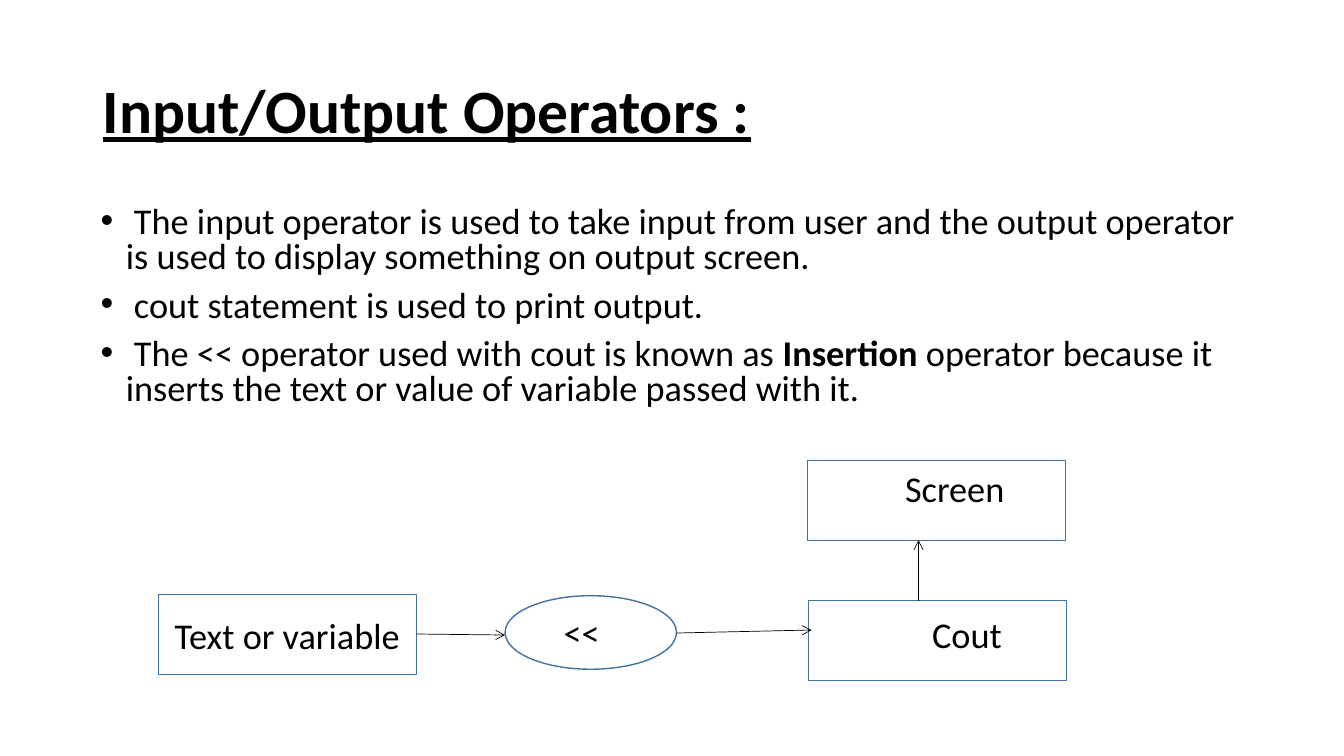
import pptx
import pptx.util
import pptx.dml.color
import pptx.enum.shapes
import pptx.enum.text
import pptx.oxml
import pptx.oxml.ns

Inches, Pt = pptx.util.Inches, pptx.util.Pt
SHAPE = pptx.enum.shapes.MSO_SHAPE
ANCHOR = pptx.enum.text.MSO_ANCHOR
ALIGN = pptx.enum.text.PP_ALIGN
BLACK = pptx.dml.color.RGBColor(0x00, 0x00, 0x00)
BLUE = pptx.dml.color.RGBColor(0x43, 0x73, 0x9E)
BODY_SIZE = 25.9


def add_run(p, text, size=BODY_SIZE, bold=False, underline=False):
    """Append a formatted run to a paragraph."""
    r = p.add_run()
    r.text = text
    r.font.name = "Calibri"
    r.font.size = Pt(size)
    r.font.bold = bold
    r.font.underline = underline
    r.font.color.rgb = BLACK


def add_xml(parent, tag, **attrs):
    """Append an empty DrawingML element with the given attributes."""
    child = pptx.oxml.parse_xml(f"<a:{tag} {pptx.oxml.ns.nsdecls('a')}/>")
    for name, value in attrs.items():
        child.set(name, value)
    parent.append(child)


def add_box(s, box):
    """Add a wrapping text box and return its text frame."""
    tf = s.shapes.add_textbox(*map(Inches, box)).text_frame
    tf.word_wrap = True
    return tf


def add_title(s, box):
    """Add the underlined heading, centred vertically in its box."""
    tf = add_box(s, box)
    tf.vertical_anchor = ANCHOR.MIDDLE
    p = tf.paragraphs[0]
    p.line_spacing = 0.9
    add_run(p, "Input/Output Operators :", size=44, bold=True, underline=True)


def add_bullets(s, box, items):
    """Add bulleted paragraphs, each a list of (text, bold) pieces."""
    tf = add_box(s, box)
    for i, pieces in enumerate(items):
        p = tf.add_paragraph() if i else tf.paragraphs[0]
        p.line_spacing = 0.8
        p.space_before = Pt(10)
        pPr = p._p.get_or_add_pPr()
        pPr.set("marL", str(Inches(0.25)))
        pPr.set("indent", str(Inches(-0.25)))
        add_xml(pPr, "buFont", typeface="Arial")
        add_xml(pPr, "buChar", char="\u2022")
        for text, bold in pieces:
            add_run(p, text, bold=bold)


def add_node(s, kind, box, text, dx=0, dy=0):
    """Add an outlined node whose label is shifted from centre by dx, dy."""
    sp = s.shapes.add_shape(kind, *map(Inches, box))
    sp.shadow.inherit = False
    sp.fill.background()
    sp.line.color.rgb = BLUE
    sp.line.width = Pt(1)
    tf = sp.text_frame
    tf.word_wrap = True
    tf.vertical_anchor = ANCHOR.MIDDLE
    tf.margin_left, tf.margin_right = Inches(max(0, 2 * dx)), Inches(max(0, -2 * dx))
    tf.margin_top, tf.margin_bottom = Inches(max(0, 2 * dy)), Inches(max(0, -2 * dy))
    p = tf.paragraphs[0]
    p.alignment = ALIGN.CENTER
    add_run(p, text)


def add_arrow(s, start, end):
    """Add a thin straight arrow from start to end."""
    line = s.shapes.add_connector(
        pptx.enum.shapes.MSO_CONNECTOR.STRAIGHT, *map(Inches, start + end))
    line.line.color.rgb = BLACK
    line.line.width = Pt(0.5)
    add_xml(line.line._get_or_add_ln(), "tailEnd", type="arrow")
    add_xml(line._element.spPr, "effectLst")


def add_flow(s, x, y):
    """Add the output flow diagram with its top left corner at x, y."""
    w, h = 2.56, 0.79
    nodes = [
        (SHAPE.RECTANGLE, (0, 1.33, w, h), "Text or variable", 0, 0),
        (SHAPE.RECTANGLE, (6.44, 0, w, h), "Screen", 0.18, -0.12),
        (SHAPE.RECTANGLE, (6.45, 1.39, w, h), "Cout", 0.29, -0.07),
        (SHAPE.OVAL, (3.44, 1.34, 1.7, 0.73), "<<", -0.09, 0),
    ]
    for kind, (left, top, width, height), text, dx, dy in nodes:
        add_node(s, kind, (x + left, y + top, width, height), text, dx, dy)
    arrows = [
        ((w, 1.72), (3.44, 1.73)),
        ((5.14, 1.71), (6.48, 1.68)),
        ((7.54, 1.39), (7.54, h)),
    ]
    for (x1, y1), (x2, y2) in arrows:
        add_arrow(s, (x + x1, y + y1), (x + x2, y + y2))


def main():
    """Build the slide and save it."""
    prs = pptx.Presentation()
    prs.slide_width, prs.slide_height = Inches(13.33), Inches(7.5)
    s = prs.slides.add_slide(prs.slide_layouts[6])
    add_title(s, (0.92, 0.4, 11.5, 1.45))
    add_bullets(s, (0.9, 2, 11.5, 2.2), [
        [(" The input operator is used to take input from user and the output "
          "operator is used to display something on output screen.", False)],
        [(" cout statement is used to print output.", False)],
        [(" The << operator used with cout is known as ", False),
         ("Insertion", True),
         (" operator because it inserts the text or value of variable "
          "passed with it.", False)],
    ])
    add_flow(s, 1.57, 4.57)
    prs.save("out.pptx")


main()
